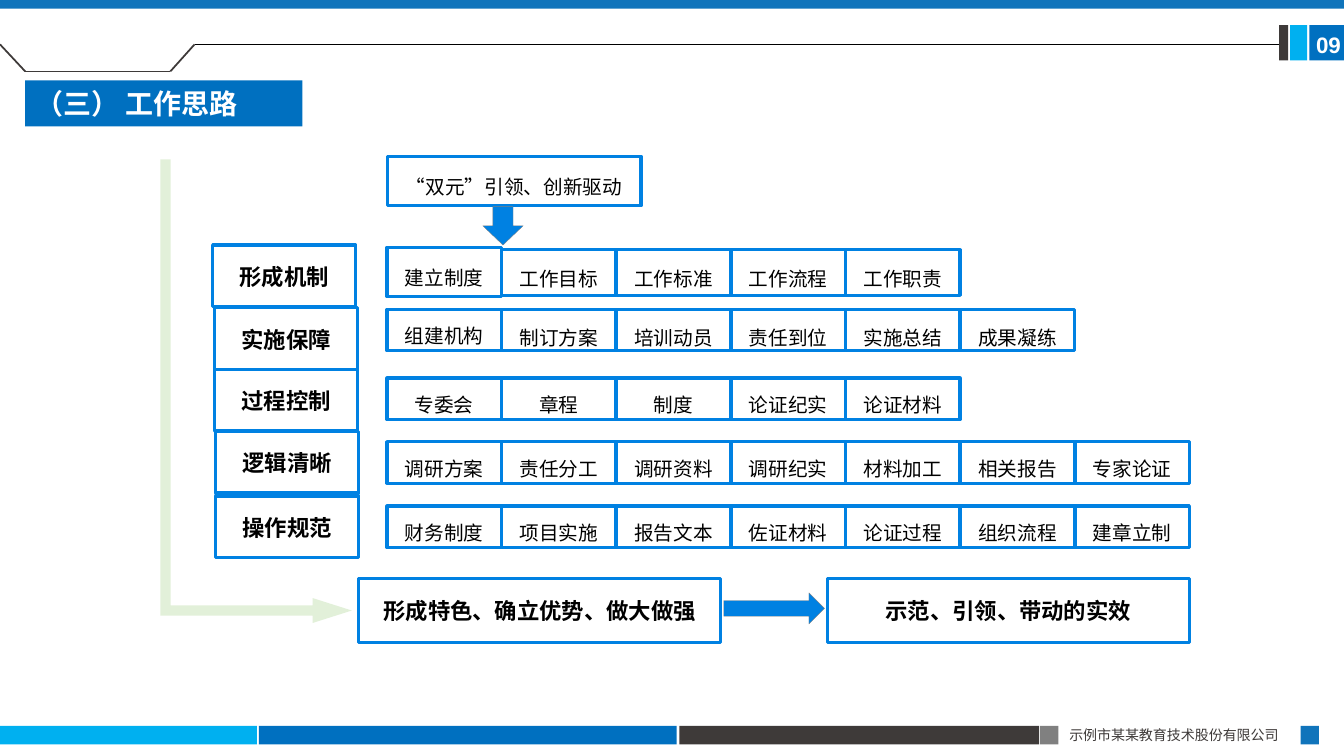
from collections import namedtuple
from dataclasses import dataclass
from lxml.etree import SubElement
from pptx import Presentation
from pptx.dml.color import RGBColor
from pptx.enum.shapes import MSO_CONNECTOR, MSO_SHAPE
from pptx.enum.text import MSO_ANCHOR, PP_ALIGN
from pptx.oxml.ns import qn
from pptx.util import Pt


@dataclass(frozen=True)
class Theme:
    bar: str = "1074BB"
    blue: str = "0070C0"
    sky: str = "00B0F0"
    dark: str = "3E3A39"
    gray: str = "808080"
    outline: str = "0081E2"
    pale: str = "E2F0D9"
    black: str = "000000"
    white: str = "FFFFFF"
    font: str = "Noto Sans CJK SC"
    heading_font: str = "Calibri"
    number_font: str = "Arial"
    heading_size: int = 20
    strong_size: int = 16
    cell_size: int = 14
    footer_size: int = 10


theme = Theme()
Box = namedtuple("Box", "left top width height")
Row = namedtuple("Row", "label label_left label_top top height lead cells")

ROWS = [
    Row("形成机制", 0, 0, 3.5, 32.5, Box(0, 1.5, 81.7, 35.5),
        ["建立制度", "工作目标", "工作标准", "工作流程", "工作职责"]),
    Row("实施保障", 1.4, 44.5, 46, 29.7, Box(0, 46, 81.7, 29.7),
        ["组建机构", "制订方案", "培训动员", "责任到位", "实施总结", "成果凝练"]),
    Row("过程控制", 1.4, 88.7, 95, 29.7, None,
        ["专委会", "章程", "制度", "论证纪实", "论证材料"]),
    Row("逻辑清晰", 2.2, 133, 140.5, 29.7, None,
        ["调研方案", "责任分工", "调研资料", "调研纪实", "材料加工", "相关报告", "专家论证"]),
    Row("操作规范", 2.2, 179.3, 186.5, 29.7, None,
        ["财务制度", "项目实施", "报告文本", "佐证材料", "论证过程", "组织流程", "建章立制"]),
]


def color(value):
    return RGBColor.from_string(value)


def write_text(shape, text, size, text_color=theme.black, font=theme.font, bold=False,
               align=PP_ALIGN.CENTER, anchor=MSO_ANCHOR.MIDDLE, spacing=None, wrap=True):
    frame = shape.text_frame
    frame.word_wrap = wrap
    frame.vertical_anchor = anchor
    paragraph = frame.paragraphs[0]
    paragraph.alignment = align
    if spacing:
        paragraph.line_spacing = spacing
    run = paragraph.add_run()
    run.text = text
    run.font.name = font
    run.font.size = Pt(size)
    run.font.bold = bold
    run.font.color.rgb = color(text_color)
    SubElement(run.font._element, qn("a:ea")).set("typeface", theme.font)


def add_block(slide, box, kind=MSO_SHAPE.RECTANGLE, fill=None, line=None, weight=0.25):
    shape = slide.shapes.add_shape(kind, *map(Pt, box))
    shape.shadow.inherit = False
    if fill:
        shape.fill.solid()
        shape.fill.fore_color.rgb = color(fill)
    else:
        shape.fill.background()
    if line:
        shape.line.color.rgb = color(line)
        shape.line.width = Pt(weight)
    else:
        shape.line.fill.background()
    return shape


def add_text(slide, box, text, **text_format):
    write_text(slide.shapes.add_textbox(*map(Pt, box)), text, **text_format)


def add_framed(slide, box, text, size=theme.cell_size, **text_format):
    shape = add_block(slide, box, line=theme.outline, weight=2.25)
    write_text(shape, text, size, spacing=1.5, **text_format)


def add_line(slide, start, end, line, weight):
    connector = slide.shapes.add_connector(MSO_CONNECTOR.STRAIGHT, *map(Pt, start + end))
    connector.line.color.rgb = color(line)
    connector.line.width = Pt(weight)
    SubElement(connector._element.spPr, qn("a:effectLst"))


def draw_header(slide, box):
    left, top = box.left, box.top
    add_block(slide, Box(left, top, box.width, 6.3), fill=theme.bar)
    high, low = top + 31.7, top + 51
    points = [(left, high), (left + 18, low), (left + 121.7, low), (left + 139, high)]
    for start, end in zip(points, points[1:]):
        add_line(slide, start, end, theme.dark, 1.25)
    add_line(slide, points[-1], (left + 913.7, high), theme.black, 0.5)
    for offset, width, fill in [(913.7, 6.5, theme.dark), (921.6, 12.2, theme.sky),
                                (935.3, 24.7, theme.blue)]:
        add_block(slide, Box(left + offset, top + 18, width, 25.2), fill=fill)
    add_text(slide, Box(left + 933, top + 18.7, 36, 26.6), "09", size=theme.strong_size,
             text_color=theme.white, font=theme.number_font, bold=True,
             align=PP_ALIGN.LEFT, anchor=MSO_ANCHOR.TOP, wrap=False)


def draw_footer(slide, box):
    for offset, width, fill in [(0, 183.6, theme.sky), (185, 298.3, theme.blue),
                                (485.3, 257, theme.dark), (743, 13, theme.gray),
                                (929, 13, theme.bar)]:
        add_block(slide, Box(box.left + offset, box.top, width, box.height), fill=fill)
    add_text(slide, Box(box.left + 756.7, box.top - 3, 172.8, 19.4),
             "示例市某某教育技术股份有限公司", size=theme.footer_size, text_color=theme.dark,
             align=PP_ALIGN.JUSTIFY, anchor=MSO_ANCHOR.TOP)


def draw_heading(slide, box):
    write_text(add_block(slide, box, fill=theme.blue), "（三） 工作思路", theme.heading_size,
               text_color=theme.white, font=theme.heading_font, bold=True, align=PP_ALIGN.LEFT)


def draw_guide_arrow(slide, box):
    frame = Box(box.left + (box.width - box.height) / 2,
                box.top + (box.height - box.width) / 2, box.height, box.width)
    arrow = add_block(slide, frame, MSO_SHAPE.BENT_UP_ARROW, fill=theme.pale)
    arrow.rotation = 90
    for index, value in enumerate((0.054, 0.065, 0.205)):
        arrow.adjustments[index] = value


def draw_driver(slide, box):
    add_framed(slide, Box(box.left, box.top, box.width, 35.5), "“双元”引领、创新驱动")
    add_block(slide, Box(box.left + 68.4, box.top + 36, 28.8, 27.4), MSO_SHAPE.DOWN_ARROW,
              fill=theme.outline, line=theme.gray)


def draw_rows(slide, box):
    first, pitch = box.left + 124.6, 81.9
    for row in ROWS:
        add_framed(slide, Box(box.left + row.label_left, box.top + row.label_top, 102.2, 44.2),
                   row.label, theme.strong_size, bold=True, anchor=MSO_ANCHOR.TOP)
        for index, text in enumerate(row.cells):
            cell = Box(first + index * pitch, box.top + row.top, 81.7, row.height)
            anchor = MSO_ANCHOR.TOP if row.lead else MSO_ANCHOR.MIDDLE
            if row.lead and index == 0:
                cell = row.lead._replace(left=first, top=box.top + row.lead.top)
                anchor = MSO_ANCHOR.MIDDLE
            add_framed(slide, cell, text, anchor=anchor)


def draw_outcomes(slide, box):
    width = 258.5
    for left, text in [(box.left, "形成特色、确立优势、做大做强"),
                       (box.left + box.width - width, "示范、引领、带动的实效")]:
        add_framed(slide, Box(left, box.top, width, box.height), text, theme.strong_size,
                   bold=True, anchor=MSO_ANCHOR.TOP)
    add_block(slide, Box(box.left + width + 2.2, box.top + 10.1, 72, 22.3),
              MSO_SHAPE.RIGHT_ARROW, fill=theme.outline, line=theme.gray)


def main():
    presentation = Presentation()
    presentation.slide_width, presentation.slide_height = Pt(960), Pt(540)
    slide = presentation.slides.add_slide(presentation.slide_layouts[6])
    draw_footer(slide, Box(0, 518.6, 960, 13.2))
    draw_header(slide, Box(0, 0, 960, 54))
    draw_heading(slide, Box(18, 57.4, 198, 33))
    draw_rows(slide, Box(151.9, 175, 698, 222))
    draw_driver(slide, Box(276.5, 111.6, 181.4, 63.4))
    draw_outcomes(slide, Box(256.3, 413.3, 593.2, 45.4))
    draw_guide_arrow(slide, Box(114.5, 113.8, 136.8, 331.2))
    presentation.save("out.pptx")


if __name__ == "__main__":
    main()
